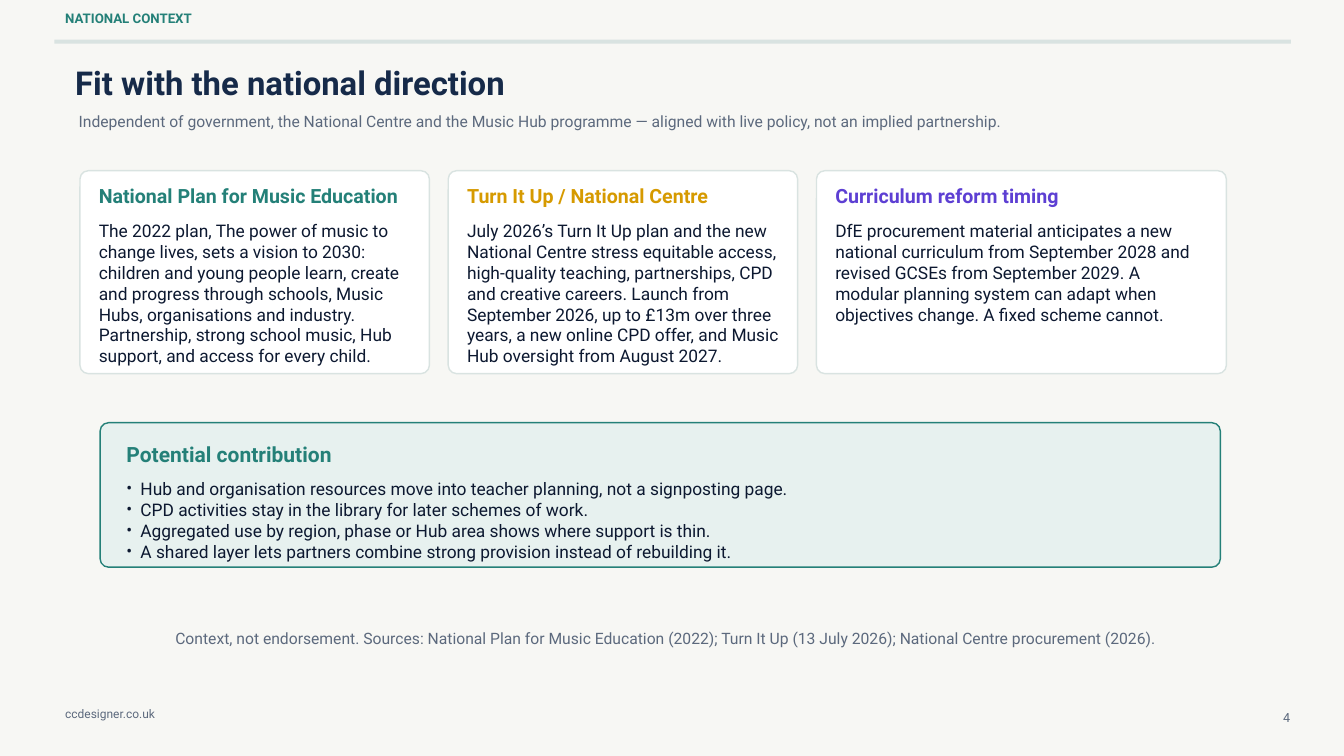
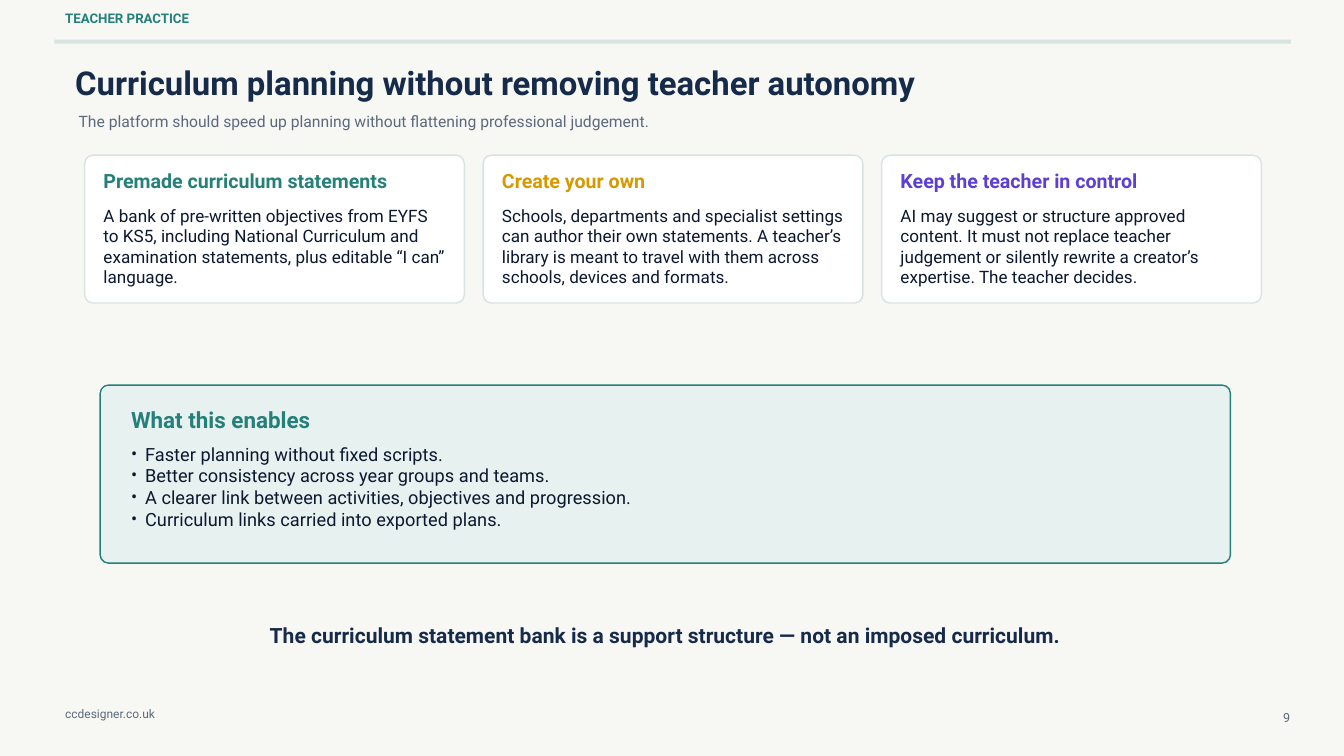
from lxml.etree import SubElement
from pptx import Presentation
from pptx.dml.color import RGBColor
from pptx.enum.shapes import MSO_SHAPE
from pptx.enum.text import MSO_AUTO_SIZE, PP_ALIGN
from pptx.oxml.ns import qn
from pptx.util import Inches, Pt

BACKGROUND = RGBColor(0xF7, 0xF7, 0xF4)
WHITE = RGBColor(0xFF, 0xFF, 0xFF)
RULE = RGBColor(0xD9, 0xE3, 0xE1)
MINT = RGBColor(0xE7, 0xF1, 0xEF)
TEAL = RGBColor(0x24, 0x80, 0x78)
AMBER = RGBColor(0xD6, 0x9A, 0x00)
VIOLET = RGBColor(0x5D, 0x3F, 0xD3)
NAVY = RGBColor(0x16, 0x2A, 0x49)
INK = RGBColor(0x0C, 0x18, 0x30)
GREY = RGBColor(0x5C, 0x69, 0x7D)

FONT = "Roboto"
LINE_FACTOR = 1.2
CORNER = 0.125
CARD_GAP = 0.28
CARD_PADDING = 0.28
BULLET_INDENT = 0.21
ACCENTS = (TEAL, AMBER, VIOLET)

FRAME_FORMAT = {
    "margin_left": 0,
    "margin_right": 0,
    "margin_top": 0,
    "margin_bottom": 0,
    "word_wrap": True,
    "auto_size": MSO_AUTO_SIZE.SHAPE_TO_FIT_TEXT,
}

SLIDES = [
    {
        "section": "NATIONAL CONTEXT",
        "number": 4,
        "title": "Fit with the national direction",
        "subtitle": "Independent of government, the National Centre and the Music Hub programme "
                    "— aligned with live policy, not an implied partnership.",
        "cards_box": (1.19, 2.54, 3.02),
        "card_widths": (5.2, 5.2, 6.1),
        "card_size": 18.6,
        "cards": [
            ("National Plan for Music Education",
             "The 2022 plan, The power of music to change lives, sets a vision to 2030: children "
             "and young people learn, create and progress through schools, Music Hubs, "
             "organisations and industry. Partnership, strong school music, Hub support, and "
             "access for every child."),
            ("Turn It Up / National Centre",
             "July 2026’s Turn It Up plan and the new National Centre stress equitable access, "
             "high-quality teaching, partnerships, CPD and creative careers. Launch from "
             "September 2026, up to £13m over three years, a new online CPD offer, and Music Hub "
             "oversight from August 2027."),
            ("Curriculum reform timing",
             "DfE procurement material anticipates a new national curriculum from September 2028 "
             "and revised GCSEs from September 2029. A modular planning system can adapt when "
             "objectives change. A fixed scheme cannot."),
        ],
        "panel_box": (1.49, 6.29, 16.67, 2.15),
        "panel_padding": (0.39, 0.28),
        "panel_sizes": (22.5, 18.6),
        "panel_title": "Potential contribution",
        "points": [
            "Hub and organisation resources move into teacher planning, not a signposting page.",
            "CPD activities stay in the library for later schemes of work.",
            "Aggregated use by region, phase or Hub area shows where support is thin.",
            "A shared layer lets partners combine strong provision instead of rebuilding it.",
        ],
        "closing": "Context, not endorsement. Sources: National Plan for Music Education (2022); "
                   "Turn It Up (13 July 2026); National Centre procurement (2026).",
        "closing_top": 9.36,
        "closing_style": {"size": 16.8, "color": GREY},
    },
    {
        "section": "TEACHER PRACTICE",
        "number": 9,
        "title": "Curriculum planning without removing teacher autonomy",
        "subtitle": "The platform should speed up planning without flattening professional "
                    "judgement.",
        "cards_box": (1.26, 2.31, 2.2),
        "card_widths": (5.65, 5.65, 5.65),
        "card_size": 18.3,
        "cards": [
            ("Premade curriculum statements",
             "A bank of pre-written objectives from EYFS to KS5, including National Curriculum "
             "and examination statements, plus editable “I can” language."),
            ("Create your own",
             "Schools, departments and specialist settings can author their own statements. A "
             "teacher’s library is meant to travel with them across schools, devices and formats."),
            ("Keep the teacher in control",
             "AI may suggest or structure approved content. It must not replace teacher judgement "
             "or silently rewrite a creator’s expertise. The teacher decides."),
        ],
        "panel_box": (1.49, 5.73, 16.82, 2.65),
        "panel_padding": (0.46, 0.31),
        "panel_sizes": (24, 19.5),
        "panel_title": "What this enables",
        "points": [
            "Faster planning without fixed scripts.",
            "Better consistency across year groups and teams.",
            "A clearer link between activities, objectives and progression.",
            "Curriculum links carried into exported plans.",
        ],
        "closing": "The curriculum statement bank is a support structure "
                   "— not an imposed curriculum.",
        "closing_top": 9.27,
        "closing_style": {"size": 22.5, "color": NAVY, "bold": True},
    },
]


def set_values(target, values):
    """Set each named value on the target."""
    for name, value in values.items():
        setattr(target, name, value)


def add_bullet(paragraph):
    """Give the paragraph a round bullet with a hanging indent."""
    properties = paragraph._p.get_or_add_pPr()
    indent = Inches(BULLET_INDENT)
    properties.set("marL", str(indent))
    properties.set("indent", str(-indent))
    SubElement(properties, qn("a:buFont"), typeface=FONT)
    SubElement(properties, qn("a:buChar"), char="•")


def add_text(slide, box, lines, size, color, bold=False, align=PP_ALIGN.LEFT, bullets=False):
    """Add a text box with one paragraph for each line."""
    frame = slide.shapes.add_textbox(*map(Inches, box)).text_frame
    set_values(frame, FRAME_FORMAT)
    for index, line in enumerate(lines):
        paragraph = frame.add_paragraph() if index else frame.paragraphs[0]
        set_values(paragraph, {"alignment": align, "line_spacing": Pt(size * LINE_FACTOR)})
        if bullets:
            add_bullet(paragraph)
        run = paragraph.add_run()
        run.text = line
        set_values(run.font, {"name": FONT, "size": Pt(size), "bold": bold})
        run.font.color.rgb = color


def add_block(slide, box, fill, line=None):
    """Add a plain bar, or a rounded box when an outline colour is given."""
    kind = MSO_SHAPE.ROUNDED_RECTANGLE if line else MSO_SHAPE.RECTANGLE
    shape = slide.shapes.add_shape(kind, *map(Inches, box))
    shape.shadow.inherit = False
    shape.fill.solid()
    shape.fill.fore_color.rgb = fill
    if line:
        shape.adjustments[0] = CORNER / min(box[2:])
        shape.line.color.rgb = line
        shape.line.width = Pt(1.5)
    else:
        shape.line.fill.background()


def add_page_frame(slide, content):
    """Add the background, top rule, section name, footer and headings."""
    slide.background.fill.solid()
    slide.background.fill.fore_color.rgb = BACKGROUND
    add_block(slide, (0.81, 0.59, 18.4, 0.06), RULE)
    add_text(slide, (0.97, 0.15, 9.3, 0.36), [content["section"]], 14.2, TEAL, bold=True)
    add_text(slide, (18.82, 10.56, 0.38, 0.31), [str(content["number"])], 13.5, GREY,
             align=PP_ALIGN.RIGHT)
    add_text(slide, (0.97, 10.52, 3.3, 0.31), ["ccdesigner.co.uk"], 12.8, GREY)
    add_text(slide, (1.12, 0.93, 13.8, 0.72), [content["title"]], 35.2, NAVY, bold=True)
    add_text(slide, (1.17, 1.67, 17.25, 0.28), [content["subtitle"]], 16.8, GREY)


def add_card(slide, box, heading, body, accent, size):
    """Add a white card with a coloured heading and body text."""
    left, top, width, height = box
    text_left, text_width = left + CARD_PADDING, width - 2 * CARD_PADDING
    add_block(slide, box, WHITE, RULE)
    add_text(slide, (text_left, top + 0.2, text_width, 0.49), [heading], 21, accent, bold=True)
    add_text(slide, (text_left, top + 0.74, text_width, height - 0.92), [body], size, INK)


def add_card_row(slide, content):
    """Place the cards from left to right with equal gaps."""
    left, top, height = content["cards_box"]
    for (heading, body), width, accent in zip(content["cards"], content["card_widths"], ACCENTS):
        add_card(slide, (left, top, width, height), heading, body, accent, content["card_size"])
        left += width + CARD_GAP


def add_panel(slide, content):
    """Add the tinted panel with its heading and bullet points."""
    left, top, width, height = box = content["panel_box"]
    pad_left, pad_top = content["panel_padding"]
    heading_size, point_size = content["panel_sizes"]
    text_left, text_width = left + pad_left, width - 2 * pad_left
    add_block(slide, box, MINT, TEAL)
    add_text(slide, (text_left, top + pad_top, text_width, 0.38), [content["panel_title"]],
             heading_size, TEAL, bold=True)
    add_text(slide, (text_left, top + pad_top + 0.55, text_width, 1.25), content["points"],
             point_size, INK, bullets=True)


def add_content_slide(presentation, content):
    """Build one slide from its content."""
    slide = presentation.slides.add_slide(presentation.slide_layouts[6])
    add_page_frame(slide, content)
    add_card_row(slide, content)
    add_panel(slide, content)
    add_text(slide, (1.5, content["closing_top"], 16.8, 0.4), [content["closing"]],
             align=PP_ALIGN.CENTER, **content["closing_style"])


def main():
    """Build the presentation and save it."""
    presentation = Presentation()
    set_values(presentation, {"slide_width": Inches(20), "slide_height": Inches(11.25)})
    for content in SLIDES:
        add_content_slide(presentation, content)
    presentation.save("out.pptx")


if __name__ == "__main__":
    main()
